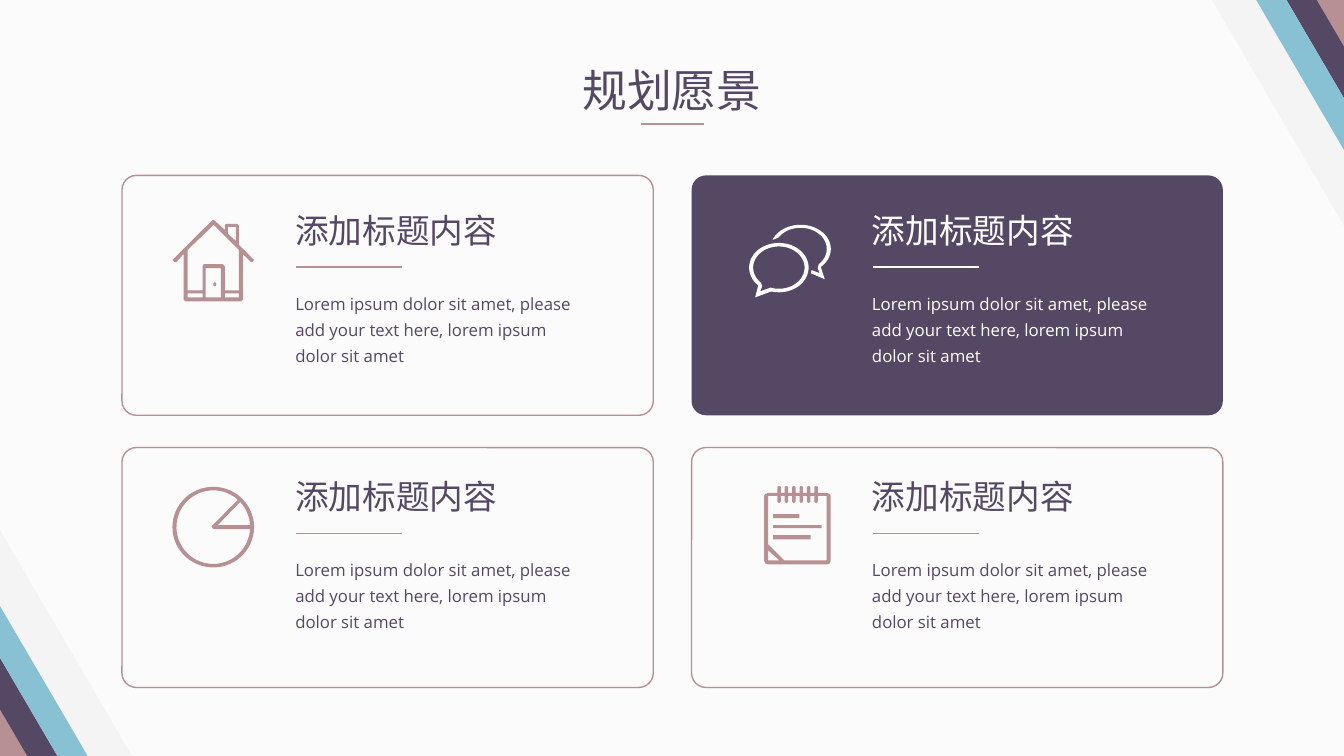
"""Builds a slide with four vision cards between striped corners."""
import math
from dataclasses import dataclass

from lxml import etree
from pptx import Presentation
from pptx import util as u
from pptx.dml.color import RGBColor
from pptx.enum import shapes, text
from pptx.oxml.ns import qn


@dataclass(frozen=True)
class Theme:
    """Colours, fonts and type sizes of the slide."""
    paper: str = "FBFBFB"
    mist: str = "F4F4F4"
    rose: str = "B79093"
    plum: str = "554864"
    sky: str = "88C1D4"
    white: str = "FFFFFF"
    han_font: str = "Noto Sans CJK SC"
    head_font: str = "Arial"
    body_font: str = "Open Sans"
    title_size: int = 32
    head_size: int = 24
    body_size: int = 12


THEME = Theme()
HEADING = "添加标题内容"
BODY = "Lorem ipsum dolor sit amet, please add your text here, lorem ipsum dolor sit amet"


def write(box, words, *, size, font, color, align=text.PP_ALIGN.LEFT, wrap=True, spacing=1.0):
    """Put one formatted paragraph into a text shape."""
    frame = box.text_frame
    frame.word_wrap = wrap
    frame.auto_size = text.MSO_AUTO_SIZE.SHAPE_TO_FIT_TEXT
    frame.vertical_anchor = text.MSO_ANCHOR.TOP
    para = frame.paragraphs[0]
    para.alignment = align
    para.line_spacing = spacing
    span = para.add_run()
    span.text = words
    span.font.size = u.Pt(size)
    span.font.name = font
    span.font.color.rgb = RGBColor.from_string(color)
    east_asian = etree.SubElement(span.font._element, qn("a:ea"))
    east_asian.set("typeface", THEME.han_font)


def arc(center, radii, start, end, steps=60):
    """Return points along an ellipse between two angles in degrees."""
    angles = [math.radians(start + (end - start) * i / steps) for i in range(steps + 1)]
    return [(center[0] + radii[0] * math.cos(a), center[1] + radii[1] * math.sin(a))
            for a in angles]


def block(left, top, right, bottom):
    """Return the corners of a rectangle."""
    return [(left, top), (right, top), (right, bottom), (left, bottom)]


def house():
    """Return the outlines of the house icon."""
    wall = [(80, 39), (66, 25), (66, 6), (64, 4), (53, 4), (52, 6), (52, 10), (42, 1),
            (41, 0), (40, 0), (39, 1), (1, 39), (0, 40), (2, 42), (4, 42), (11, 34),
            (11, 79), (13, 81), (68, 81), (70, 79), (70, 34), (78, 42), (79, 42), (81, 40)]
    room = [(66, 70), (52, 70), (52, 46), (50, 44), (31, 44), (30, 46), (30, 70),
            (15, 70), (15, 30), (41, 5), (66, 30)]
    chimney = [(55, 7), (63, 7), (63, 21), (55, 14)]
    knob = arc((42, 64), (1.5, 2), 0, 360, 16)
    return [wall, room, chimney, block(15, 73, 30, 77), block(33, 48, 48, 77),
            block(52, 73, 66, 77), knob]


def chat():
    """Return the outlines of the two speech bubbles."""
    front, back = (29.5, 42.5), (51, 24)
    outer = arc(front, (29.5, 24.5), 134, 465) + [(6, 72)]
    inner = arc(front, (25.5, 21), 134, 469) + [(11, 66), (13, 61)]
    behind = (arc(back, (30, 24), 202, 408) + [(75, 54), (61, 48), (62, 45), (70, 48), (68, 43)]
              + arc(back, (26, 21), 406, 212))
    return [outer, inner, behind]


def pie():
    """Return the outlines of the pie icon."""
    center, inside = (40.5, 40), (36.5, 36.5)
    piece = [(45, 38)] + arc(center, inside, -43, -3)
    rest = arc(center, inside, 3, 312) + [(39, 39), (39, 40), (41, 42)]
    return [arc(center, (40.5, 40), 0, 360), piece, rest]


def notepad():
    """Return the outlines of the notepad icon."""
    outer, inner = [(0, 10), (1, 8), (4, 7)], [(4, 10)]
    for ring in range(6):
        left = 13 + 7.35 * ring
        right = left + 3.5
        outer += [(left, 7), (left, 1), (left + 1.75, 0), (right, 1), (right, 7)]
        inner += [(left, 10), (left, 16), (left + 1.75, 17), (right, 16), (right, 10)]
    outer += [(62, 7), (65, 8), (66, 10), (66, 74), (65, 77), (62, 78), (4, 78), (1, 77), (0, 74)]
    inner += [(62, 10), (62, 74), (20, 74), (4, 58)]
    fold = [(4, 74), (4, 64), (15, 74)]
    return [outer, inner, fold, block(9, 28, 35, 32), block(9, 39, 57, 42), block(9, 49, 46, 53)]


class Canvas:
    """Draws on one slide, with places in percent of its width and height."""

    def __init__(self, deck, theme):
        """Add a title-only slide with a plain background."""
        self.theme = theme
        self.width, self.height = deck.slide_width, deck.slide_height
        self.slide = deck.slides.add_slide(deck.slide_layouts[5])
        fill = self.slide.background.fill
        fill.solid()
        fill.fore_color.rgb = RGBColor.from_string(theme.paper)

    def place(self, x, y):
        """Turn percentages into a point on the slide."""
        return u.Emu(round(self.width * x / 100)), u.Emu(round(self.height * y / 100))

    def paint(self, shape, fill=None, line=None):
        """Set the fill and outline of a shape."""
        shape.shadow.inherit = False
        if fill:
            shape.fill.solid()
            shape.fill.fore_color.rgb = RGBColor.from_string(fill)
        else:
            shape.fill.background()
        if line:
            shape.line.color.rgb = RGBColor.from_string(line)
            shape.line.width = u.Pt(1)
        else:
            shape.line.fill.background()

    def title(self, words, x, y, w, h):
        """Move and fill the title placeholder."""
        box = self.slide.shapes.title
        box.left, box.top = self.place(x, y)
        box.width, box.height = self.place(w, h)
        write(box, words, size=self.theme.title_size, font=self.theme.han_font,
              color=self.theme.plum, align=text.PP_ALIGN.CENTER, wrap=False)

    def label(self, words, x, y, w, h, **style):
        """Add a text box."""
        box = self.slide.shapes.add_textbox(*self.place(x, y), *self.place(w, h))
        write(box, words, **style)

    def rule(self, x, y, length, color, weight=1):
        """Add a horizontal line."""
        line = self.slide.shapes.add_connector(
            shapes.MSO_CONNECTOR.STRAIGHT, *self.place(x, y), *self.place(x + length, y))
        line.line.color.rgb = RGBColor.from_string(color)
        line.line.width = u.Pt(weight)
        etree.SubElement(line._element.spPr, qn("a:effectLst"))

    def card(self, x, y, w, h, **paint):
        """Add a rounded card."""
        box = self.slide.shapes.add_shape(
            shapes.MSO_SHAPE.ROUNDED_RECTANGLE, *self.place(x, y), *self.place(w, h))
        box.adjustments[0] = 0.06
        self.paint(box, **paint)

    def outline(self, contours, x, y, color, unit):
        """Add a filled shape made of closed contours."""
        scaled = [[(px * unit, py * unit) for px, py in points] for points in contours]
        builder = self.slide.shapes.build_freeform(*scaled[0][0], scale=1.0)
        for number, points in enumerate(scaled):
            if number:
                builder.move_to(*points[0])
            builder.add_line_segments(points[1:], close=True)
        self.paint(builder.convert_to_shape(*self.place(x, y)), fill=color)

    def corners(self):
        """Add the slanted stripes at two opposite corners."""
        theme, slope = self.theme, 1.71
        stripes = [(0, 1.31, theme.mist), (0, 0.27, theme.rose),
                   (0.27, 0.57, theme.plum), (0.57, 0.87, theme.sky)]
        for x, y, side in ((0, 100, 1), (100, 0, -1)):
            for near, far, color in stripes:
                band = [(0, -far * slope), (far, 0), (near, 0), (0, -near * slope)]
                points = [(side * px, side * py) for px, py in band]
                self.outline([points], x, y, color, u.Inches(1))


def main():
    """Build and save the deck."""
    deck = Presentation()
    deck.slide_width, deck.slide_height = u.Inches(13.33), u.Inches(7.5)
    canvas = Canvas(deck, THEME)
    canvas.corners()
    canvas.title("规划愿景", 42.5, 7.6, 15, 8.53)
    canvas.rule(47.71, 16.4, 4.65, THEME.rose, weight=1.5)
    cards = [(0, 0, house, 12.83, 29.07), (1, 0, chat, 55.74, 29.73),
             (0, 1, pie, 12.83, 64.4), (1, 1, notepad, 56.86, 64.27)]
    for column, row, icon, icon_x, icon_y in cards:
        dark = icon is chat
        ink = THEME.white if dark else THEME.plum
        accent = THEME.white if dark else THEME.rose
        paint = {"fill": THEME.plum} if dark else {"line": THEME.rose}
        canvas.card(9.08 + 42.38 * column, 23.2 + 36 * row, 39.53, 31.73, **paint)
        canvas.outline(icon(), icon_x, icon_y, accent, u.Inches(0.01))
        x, y = 21.23 + 42.91 * column, 27.07 + 35.2 * row
        canvas.label(HEADING, x, y, 16.65, 6.67, size=THEME.head_size,
                     font=THEME.head_font, color=ink, wrap=False)
        canvas.rule(x + 0.83, y + 8.27, 7.88, accent)
        canvas.label(BODY, x, y + 10.27, 22.2, 11.87, size=THEME.body_size,
                     font=THEME.body_font, color=ink, spacing=1.3)
    deck.save("out.pptx")


if __name__ == "__main__":
    main()
